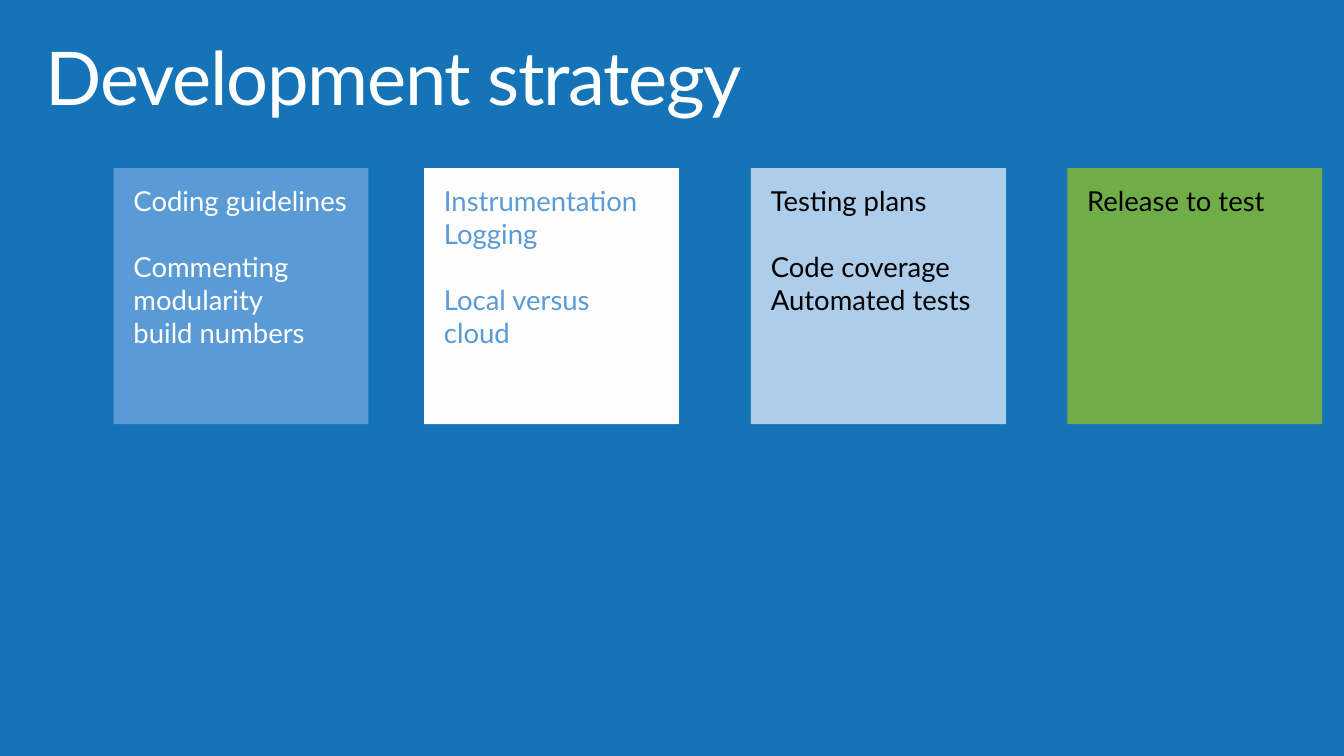
from pptx import Presentation
from pptx.dml.color import RGBColor
from pptx.enum.shapes import MSO_SHAPE as Shape
from pptx.enum.text import MSO_ANCHOR as Anchor, MSO_AUTO_SIZE as AutoSize, PP_ALIGN as Align
from pptx.util import Cm, Pt

COLORS = {
    "background": "1574B8",
    "white": "FFFFFF",
    "black": "000000",
    "blue": "5B9BD5",
    "paper": "FDFDFD",
    "pale blue": "ADCDEA",
    "green": "70AD47",
}
FONT = "Lato"
TITLE_ONLY = 5

# Each card: left edge in cm, fill, text colour, groups of lines
CARDS = [
    (2.92, "blue", "white",
     [["Coding guidelines"], ["Commenting", "modularity", "build numbers"]]),
    (10.9, "paper", "blue",
     [["Instrumentation", "Logging"], ["Local versus cloud"]]),
    (19.3, "pale blue", "black",
     [["Testing plans"], ["Code coverage", "Automated tests"]]),
    (27.43, "green", "black", [["Release to test"]]),
]
CARD_TOP, CARD_WIDTH, CARD_HEIGHT = 4.32, 6.55, 6.58


def color(name):
    return RGBColor.from_string(COLORS[name])


def write_text(shape, groups, *, size, color_name, margins, line_spacing=1.0, tracking=None):
    """Write groups of lines, one paragraph a line, with a line's gap between groups."""
    frame = shape.text_frame
    frame.word_wrap = True
    frame.auto_size = AutoSize.NONE
    frame.vertical_anchor = Anchor.TOP
    frame.margin_left = frame.margin_right = Cm(margins[0])
    frame.margin_top = frame.margin_bottom = Cm(margins[1])
    lines = [(text, number > 0 and position == 0)
             for number, group in enumerate(groups)
             for position, text in enumerate(group)]
    for index, (text, starts_group) in enumerate(lines):
        paragraph = frame.add_paragraph() if index else frame.paragraphs[0]
        paragraph.alignment = Align.LEFT
        paragraph.line_spacing = line_spacing
        paragraph.space_before = Pt(size * 1.2 if starts_group else 0)
        run = paragraph.add_run()
        run.text = text
        run.font.name = FONT
        run.font.size = Pt(size)
        run.font.color.rgb = color(color_name)
        if tracking is not None:
            run.font._element.set("spc", str(tracking))


def place_title(slide, left, top, width, height):
    title = slide.shapes.title
    title.left, title.top, title.width, title.height = map(Cm, (left, top, width, height))
    write_text(title, [["Development strategy"]], size=54, color_name="white",
               margins=(0.41, 0.25), line_spacing=0.9, tracking=-100)


def add_card(slide, left, top, width, height, fill, text_color, groups):
    card = slide.shapes.add_shape(Shape.RECTANGLE, *map(Cm, (left, top, width, height)))
    card.shadow.inherit = False
    card.fill.solid()
    card.fill.fore_color.rgb = color(fill)
    card.line.fill.background()
    write_text(card, groups, size=20, color_name=text_color, margins=(0.51, 0.41))


def build_strategy_slide(presentation):
    slide = presentation.slides.add_slide(presentation.slide_layouts[TITLE_ONLY])
    slide.background.fill.solid()
    slide.background.fill.fore_color.rgb = color("background")
    place_title(slide, 0.76, 0.81, 32.72, 2.54)
    for left, fill, text_color, groups in CARDS:
        add_card(slide, left, CARD_TOP, CARD_WIDTH, CARD_HEIGHT, fill, text_color, groups)


def main():
    presentation = Presentation()
    presentation.slide_width = Cm(34.54)
    presentation.slide_height = Cm(19.43)
    build_strategy_slide(presentation)
    presentation.save("out.pptx")


if __name__ == "__main__":
    main()
